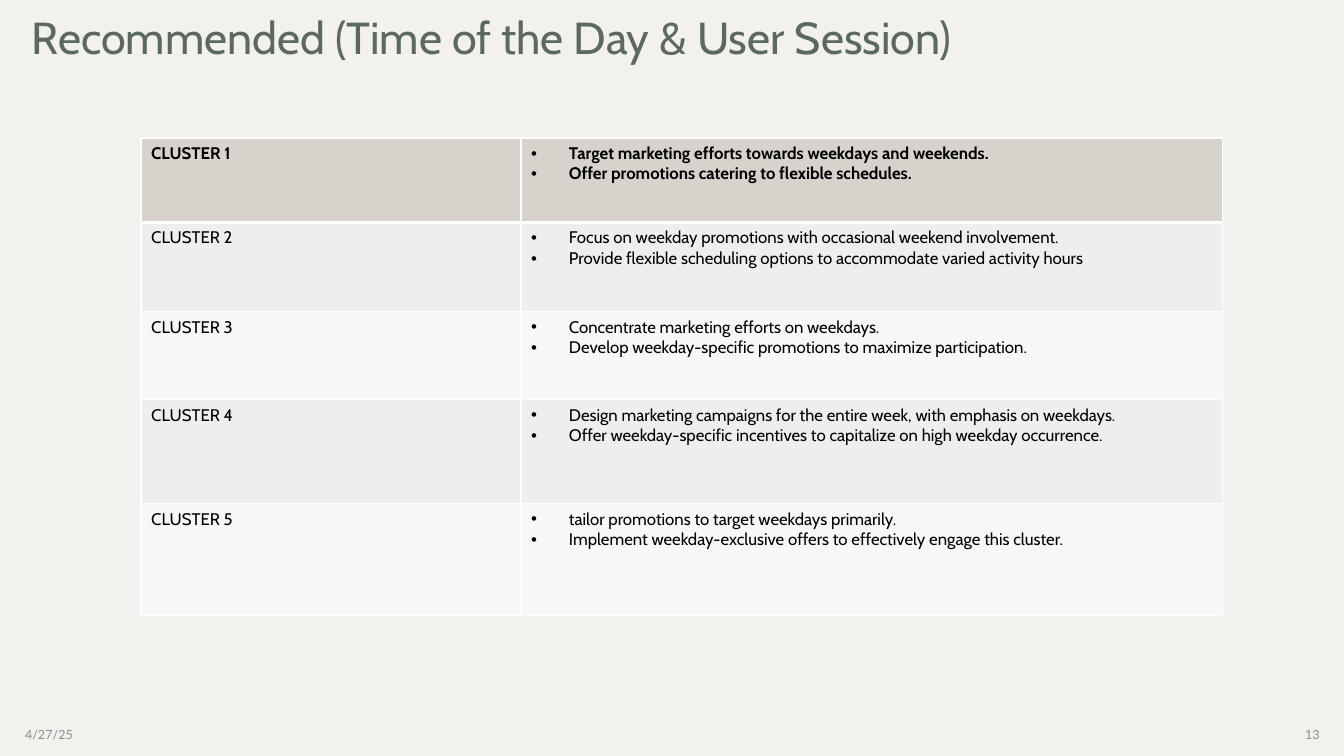
from lxml import etree
from pptx import Presentation
from pptx.dml.color import RGBColor
from pptx.enum import text as t
from pptx.oxml import ns
from pptx.util import Pt

COLORS = {
    "background": "F2F1EE",
    "title": "5B6A5E",
    "footer": "8C8C8C",
    "body": "000000",
    "border": "FFFFFF",
    "header": "D8D2CD",
    "odd": "F0EEED",
    "even": "F8F7F6",
}

CLUSTERS = [
    ("CLUSTER 1", 60.3, [
        "Target marketing efforts towards weekdays and weekends.",
        "Offer promotions catering to flexible schedules."]),
    ("CLUSTER 2", 63.8, [
        "Focus on weekday promotions with occasional weekend involvement.",
        "Provide flexible scheduling options to accommodate varied activity hours"]),
    ("CLUSTER 3", 62.9, [
        "Concentrate marketing efforts on weekdays.",
        "Develop weekday-specific promotions to maximize participation."]),
    ("CLUSTER 4", 74.3, [
        "Design marketing campaigns for the entire week, with emphasis on weekdays.",
        "Offer weekday-specific incentives to capitalize on high weekday occurrence."]),
    ("CLUSTER 5", 80, [
        "tailor promotions to target weekdays primarily.",
        "Implement weekday-exclusive offers to effectively engage this cluster."]),
]
COLUMN_WIDTHS = [271.4, 501.1]
BULLET_INDENT = 27
THIN, THICK = 1.05, 3.15


def rgb(name):
    return RGBColor.from_string(COLORS[name])


def write(paragraph, content, *, size=12, font="Cabin", color="body", bold=False,
          align=t.PP_ALIGN.LEFT, spacing=None, bullet=False):
    paragraph.alignment = align
    if spacing:
        paragraph.line_spacing = spacing
    run = paragraph.add_run()
    run.text = content
    run.font.size = Pt(size)
    run.font.name = font
    run.font.bold = bold
    run.font.color.rgb = rgb(color)
    if bullet:
        properties = paragraph._p.get_or_add_pPr()
        properties.set("marL", str(Pt(BULLET_INDENT)))
        properties.set("indent", str(-Pt(BULLET_INDENT)))
        etree.SubElement(properties, ns.qn("a:buFont")).set("typeface", "Arial")
        etree.SubElement(properties, ns.qn("a:buChar")).set("char", "•")


def add_title(slide, left, top, width, height):
    title = slide.shapes.title
    title.left, title.top, title.width, title.height = map(Pt, (left, top, width, height))
    frame = title.text_frame
    frame.word_wrap = True
    frame.auto_size = t.MSO_AUTO_SIZE.NONE
    frame.vertical_anchor = t.MSO_ANCHOR.MIDDLE
    write(frame.paragraphs[0], "Recommended (Time of the Day & User Session)",
          size=32, color="title", align=t.PP_ALIGN.CENTER, spacing=0.9)


def add_borders(cell, widths):
    properties = cell._tc.get_or_add_tcPr()
    for side, width in widths.items():
        line = etree.SubElement(properties, ns.qn(f"a:ln{side}"), w=str(Pt(width)))
        fill = etree.SubElement(line, ns.qn("a:solidFill"))
        etree.SubElement(fill, ns.qn("a:srgbClr"), val=COLORS["border"])


def add_cluster_table(slide, left, top):
    heights = [height for _, height, _ in CLUSTERS]
    table = slide.shapes.add_table(
        len(CLUSTERS), len(COLUMN_WIDTHS), Pt(left), Pt(top),
        Pt(sum(COLUMN_WIDTHS)), Pt(sum(heights))).table
    for column, width in zip(table.columns, COLUMN_WIDTHS):
        column.width = Pt(width)
    for index, (cluster, height, actions) in enumerate(CLUSTERS):
        table.rows[index].height = Pt(height)
        is_header = index == 0
        shade = "header" if is_header else "odd" if index % 2 else "even"
        borders = {"L": THIN, "R": THIN,
                   "T": THICK if index == 1 else THIN,
                   "B": THICK if is_header else THIN}
        name_cell, actions_cell = table.cell(index, 0), table.cell(index, 1)
        for cell in (name_cell, actions_cell):
            add_borders(cell, borders)
            cell.fill.solid()
            cell.fill.fore_color.rgb = rgb(shade)
        write(name_cell.text_frame.paragraphs[0], cluster, bold=is_header)
        frame = actions_cell.text_frame
        for position, action in enumerate(actions):
            paragraph = frame.add_paragraph() if position else frame.paragraphs[0]
            write(paragraph, action, bold=is_header, bullet=True)


def add_footer(slide, left, top, width, height):
    box_width = 216
    entries = [("4/27/25", left, t.PP_ALIGN.LEFT),
               ("13", left + width - box_width, t.PP_ALIGN.RIGHT)]
    for content, box_left, align in entries:
        frame = slide.shapes.add_textbox(
            Pt(box_left), Pt(top), Pt(box_width), Pt(height)).text_frame
        frame.word_wrap = True
        frame.vertical_anchor = t.MSO_ANCHOR.MIDDLE
        write(frame.paragraphs[0], content, size=9, font="Lato", color="footer", align=align)


def main():
    deck = Presentation()
    deck.slide_width, deck.slide_height = Pt(960), Pt(540)
    slide = deck.slides.add_slide(deck.slide_layouts[5])
    slide.background.fill.solid()
    slide.background.fill.fore_color.rgb = rgb("background")
    add_title(slide, -13.7, -9.4, 730, 75.6)
    add_cluster_table(slide, 100.8, 98.6)
    add_footer(slide, 10.8, 510.5, 938.9, 28.8)
    deck.save("out.pptx")


if __name__ == "__main__":
    main()
